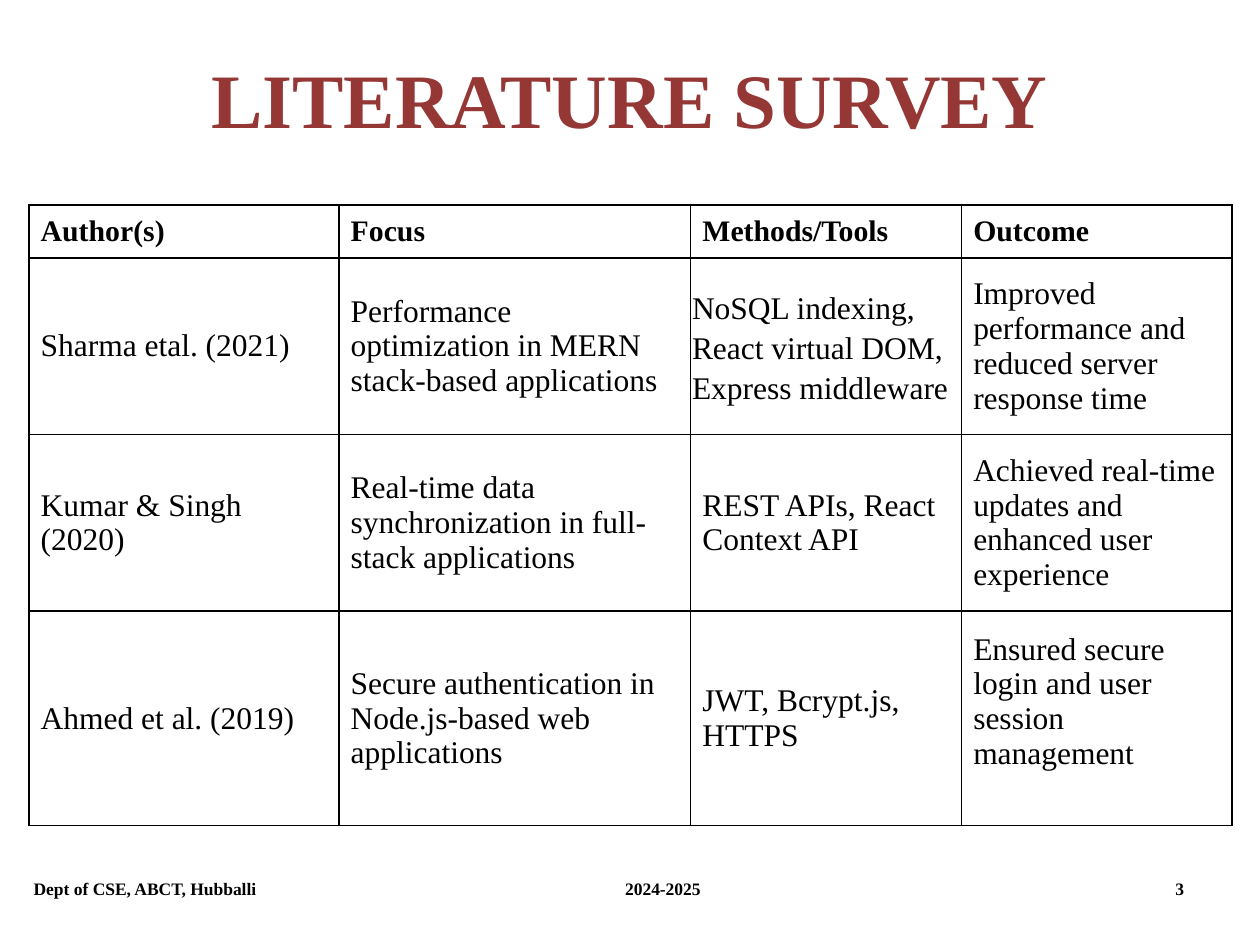
from lxml.etree import SubElement
from pptx import Presentation
from pptx.dml.color import RGBColor
from pptx.enum.text import MSO_ANCHOR as Anchor, PP_ALIGN as Align
from pptx.oxml import parse_xml
from pptx.oxml.ns import nsdecls, qn
from pptx.util import Cm, Pt

FONT = "Times New Roman"
BLACK = RGBColor(0x00, 0x00, 0x00)
MAROON = RGBColor(0x95, 0x37, 0x35)

COLUMN_WIDTHS = (6.25, 7.09, 5.46, 5.46)
ROW_HEIGHTS = (1.07, 3.56, 3.56, 4.32)
SURVEY = (
    ("Author(s)", "Focus", "Methods/Tools", "Outcome"),
    ("Sharma etal. (2021)",
     "Performance optimization in MERN stack-based applications",
     "NoSQL indexing, React virtual DOM, Express middleware",
     "Improved performance and reduced server response time"),
    ("Kumar & Singh (2020)",
     "Real-time data synchronization in full-stack applications",
     "REST APIs, React Context API",
     "Achieved real-time updates and enhanced user experience"),
    ("Ahmed et al. (2019)",
     "Secure authentication in Node.js-based web applications",
     "JWT, Bcrypt.js, HTTPS",
     "Ensured secure login and user session management"),
)


def write_text(frame, text, size, color=BLACK, bold=False, align=Align.LEFT,
               line_spacing=None, space_after=None):
    frame.word_wrap = True
    paragraph = frame.paragraphs[0]
    paragraph.alignment = align
    if line_spacing:
        paragraph.line_spacing = line_spacing
    if space_after:
        paragraph.space_after = Pt(space_after)
    run = paragraph.add_run()
    run.text = text
    run.font.name = FONT
    run.font.size = Pt(size)
    run.font.bold = bold
    run.font.color.rgb = color
    return paragraph


def set_margins(target, horizontal, vertical):
    target.margin_left = target.margin_right = Cm(horizontal)
    target.margin_top = target.margin_bottom = Cm(vertical)


def add_borders(cell):
    properties = cell._tc.get_or_add_tcPr()
    for index, side in enumerate(("lnL", "lnR", "lnT", "lnB")):
        properties.insert(index, parse_xml(
            f'<a:{side} {nsdecls("a")} w="{Pt(1)}"><a:solidFill>'
            f'<a:srgbClr val="{BLACK}"/></a:solidFill></a:{side}>'))


def place_title(slide, left, top, width, height):
    title = slide.shapes.title
    title.left, title.top = Cm(left), Cm(top)
    title.width, title.height = Cm(width), Cm(height)
    title.text_frame.vertical_anchor = Anchor.MIDDLE
    write_text(title.text_frame, "LITERATURE SURVEY", 44, color=MAROON,
               bold=True, align=Align.CENTER)


def add_survey_table(slide, left, top):
    table = slide.shapes.add_table(
        len(SURVEY), len(SURVEY[0]), Cm(left), Cm(top),
        Cm(sum(COLUMN_WIDTHS)), Cm(sum(ROW_HEIGHTS))).table
    table.horz_banding = False
    for column, width in zip(table.columns, COLUMN_WIDTHS):
        column.width = Cm(width)
    for row, height in zip(table.rows, ROW_HEIGHTS):
        row.height = Cm(height)

    for row_index, texts in enumerate(SURVEY):
        header = row_index == 0
        for column_index, text in enumerate(texts):
            cell = table.cell(row_index, column_index)
            cell.fill.background()
            cell.vertical_anchor = Anchor.MIDDLE
            add_borders(cell)
            spacing = {}
            if (row_index, column_index) == (1, 2):
                set_margins(cell, 0.03, 0.03)
                spacing = {"line_spacing": 1.15, "space_after": 8}
            else:
                set_margins(cell, 0.24, 0.13)
            write_text(cell.text_frame, text, 17 if header else 18,
                       bold=header, **spacing)
    # The last outcome sits a little above the middle of its row.
    table.cell(len(SURVEY) - 1, len(SURVEY[0]) - 1).margin_bottom = Cm(0.8)


def add_footer(slide, left, top, width, height):
    """Put department, year and page number on one line with tab stops."""
    box = slide.shapes.add_textbox(Cm(left), Cm(top), Cm(width), Cm(height))
    paragraph = write_text(
        box.text_frame, "Dept of CSE, ABCT, Hubballi\t2024-2025\t3", 10, bold=True)
    tabs = SubElement(paragraph._p.get_or_add_pPr(), qn("a:tabLst"))
    for fraction in (0.49, 0.946):
        SubElement(tabs, qn("a:tab"), pos=str(Cm(width * fraction)), algn="l")


def main():
    presentation = Presentation()
    presentation.slide_width, presentation.slide_height = Cm(25.4), Cm(19.05)
    slide = presentation.slides.add_slide(presentation.slide_layouts[5])
    place_title(slide, 1.27, 0.76, 22.86, 2.41)
    add_footer(slide, 0.43, 17.58, 24.33, 0.69)
    add_survey_table(slide, 0.58, 4.13)
    presentation.save("out.pptx")


if __name__ == "__main__":
    main()
